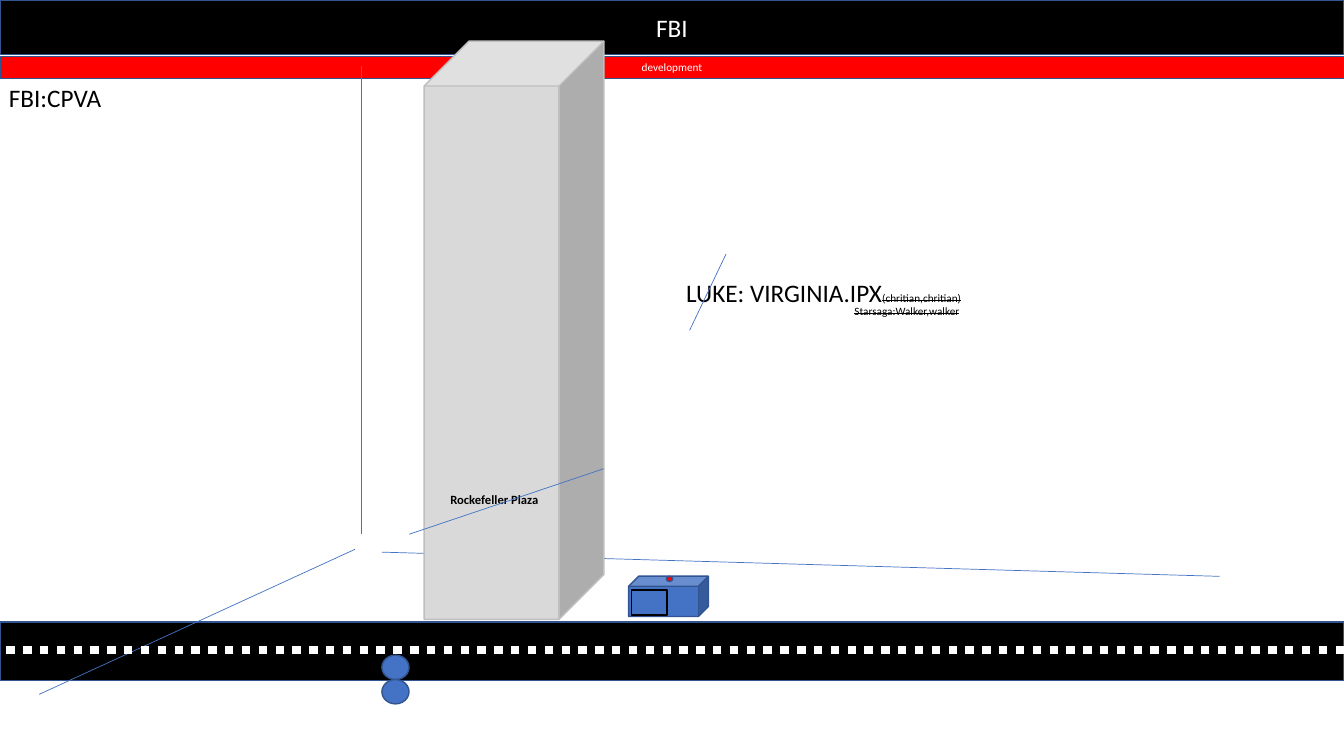
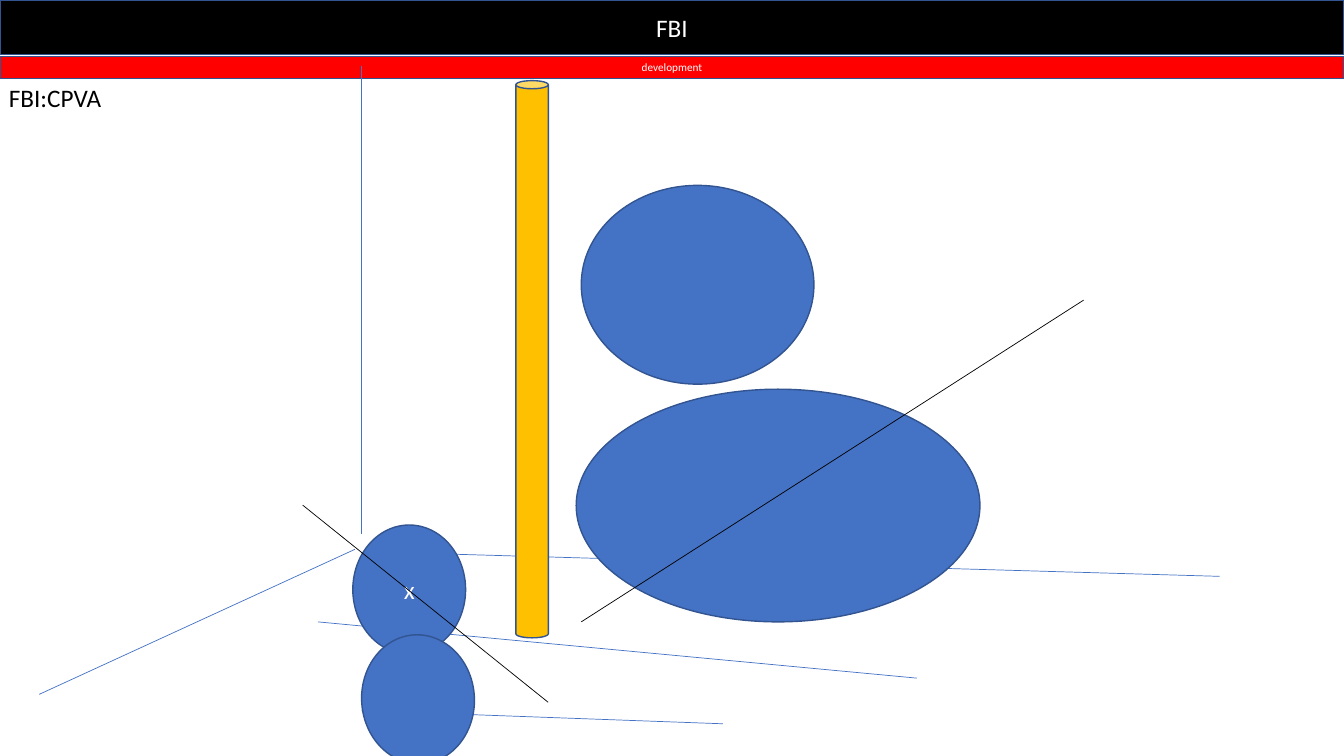
from lxml.etree import SubElement
from pptx import Presentation
from pptx.dml.color import RGBColor
from pptx.enum.dml import MSO_LINE
from pptx.enum.shapes import MSO_CONNECTOR, MSO_SHAPE
from pptx.enum.text import MSO_ANCHOR, MSO_AUTO_SIZE, PP_ALIGN
from pptx.oxml.ns import qn
from pptx.util import Pt

FONT = "Calibri"
BLACK, WHITE, RED, GOLD = "000000", "FFFFFF", "FF0000", "FFC000"
BLUE, EDGE = "4472C4", "325491"
GREY, GREY_EDGE = "D9D9D9", "BFBFBF"
rgb = RGBColor.from_string


def add_box(s, kind, at, fill=None, edge=EDGE, runs=(), wrap=True):
    """Add a filled shape, or a text box when kind is None; a run is (text, size, style)."""
    at = [Pt(v) for v in at]
    if kind is None:
        sp = s.shapes.add_textbox(*at)
    else:
        sp = s.shapes.add_shape(kind, *at)
        sp.shadow.inherit = False
        sp.fill.solid()
        sp.fill.fore_color.rgb = rgb(fill)
        sp.line.color.rgb = rgb(edge)
        sp.line.width = Pt(1)
    tf = sp.text_frame
    tf.word_wrap = wrap
    p = tf.paragraphs[0]
    if kind is None:
        tf.auto_size = MSO_AUTO_SIZE.SHAPE_TO_FIT_TEXT
    else:
        tf.vertical_anchor = MSO_ANCHOR.MIDDLE
        p.alignment = PP_ALIGN.CENTER
    for text, size, style in runs:
        r = p.add_run()
        r.text = text
        r.font.name = FONT
        r.font.size = Pt(size)
        r.font.color.rgb = rgb(BLACK if kind is None else WHITE)
        if style == "bold":
            r.font.bold = True
        elif style == "strike":
            r._r.get_or_add_rPr().set("strike", "sngStrike")
    return sp


def add_line(s, x1, y1, x2, y2, color=BLUE, width=0.5):
    c = s.shapes.add_connector(MSO_CONNECTOR.STRAIGHT, Pt(x1), Pt(y1), Pt(x2), Pt(y2))
    c.line.color.rgb = rgb(color)
    c.line.width = Pt(width)
    SubElement(c._element.spPr, qn("a:effectLst"))
    return c


prs = Presentation()
prs.slide_width, prs.slide_height = Pt(960), Pt(540)
street, room = [prs.slides.add_slide(prs.slide_layouts[6]) for _ in range(2)]

# Road, under the room lines
add_box(street, MSO_SHAPE.RECTANGLE, (0, 444.2, 960, 41.8), BLACK)

# Shared bands, heading and room corner
for s in (street, room):
    add_box(s, MSO_SHAPE.RECTANGLE, (0, 40.3, 960, 15.8), RED, runs=[("development", 8, None)])
    add_box(s, MSO_SHAPE.RECTANGLE, (0, 0, 960, 39), BLACK, runs=[("FBI", 18, None)])
    add_box(s, None, (-0.7, 55.4, 81.4, 29), runs=[("FBI:CPVA", 18, None)], wrap=False)
    add_line(s, 258.3, 46.8, 258.3, 381.6)
    add_line(s, 28, 496, 253.5, 392.4)
    add_line(s, 272.8, 394.4, 871.2, 411.7)

# Slide 1: tower
add_box(street, MSO_SHAPE.CUBE, (303, 29.4, 128.4, 413), GREY, GREY_EDGE)
add_box(street, None, (314.6, 347.8, 147.6, 18), runs=[("Rockefeller Plaza", 9, "bold")])
add_line(street, 292.3, 381.6, 431.3, 334.8)

# Slide 1: figure by the road, then the dotted centre line
for top in (468, 485.4):
    add_box(street, MSO_SHAPE.OVAL, (272.8, top, 19.4, 17.4), BLUE)
lane = add_line(street, 960, 464.4, 0, 464.4, WHITE, 6)
lane.line.dash_style = MSO_LINE.ROUND_DOT

# Slide 1: name label
add_box(street, None, (483, 194.4, 213, 29), wrap=False,
        runs=[("LUKE: VIRGINIA.IPX", 18, None), ("(chritian,chritian)", 8, "strike")])
add_box(street, None, (603.2, 213.8, 93, 17), wrap=False,
        runs=[("Starsaga:Walker,walker", 8, "strike")])
add_line(street, 492.6, 236, 518.6, 181.5)

# Slide 1: car with light and door
add_box(street, MSO_SHAPE.CUBE, (449, 411.6, 57, 28.8), BLUE)
add_box(street, MSO_SHAPE.OVAL, (476, 411.7, 4.5, 3.6), RED)
add_box(street, MSO_SHAPE.RECTANGLE, (451.2, 421.4, 25.2, 18), BLUE, BLACK)

# Slide 2: pole and floor lines
add_box(room, MSO_SHAPE.CAN, (368.5, 57.6, 23.2, 398), GOLD)
add_line(room, 227, 444.2, 655, 484.4)
add_line(room, 258.3, 507.6, 516.3, 517)

# Slide 2: large and small figures
add_box(room, MSO_SHAPE.OVAL, (415.2, 132.4, 166.2, 142), BLUE)
add_box(room, MSO_SHAPE.OVAL, (411.6, 278, 288.4, 166.2), BLUE)
add_box(room, MSO_SHAPE.OVAL, (252, 375, 80.6, 92.2), BLUE, runs=[("x", 18, None)])
body = add_box(room, MSO_SHAPE.OVAL, (258.3, 453.4, 80.6, 92.2), BLUE)
body.rotation = 356.5

# Slide 2: strokes across the figures
add_line(room, 415.2, 444.2, 774, 214.4, BLACK)
add_line(room, 391.5, 501.6, 216.2, 360.8, BLACK)

prs.save("out.pptx")
